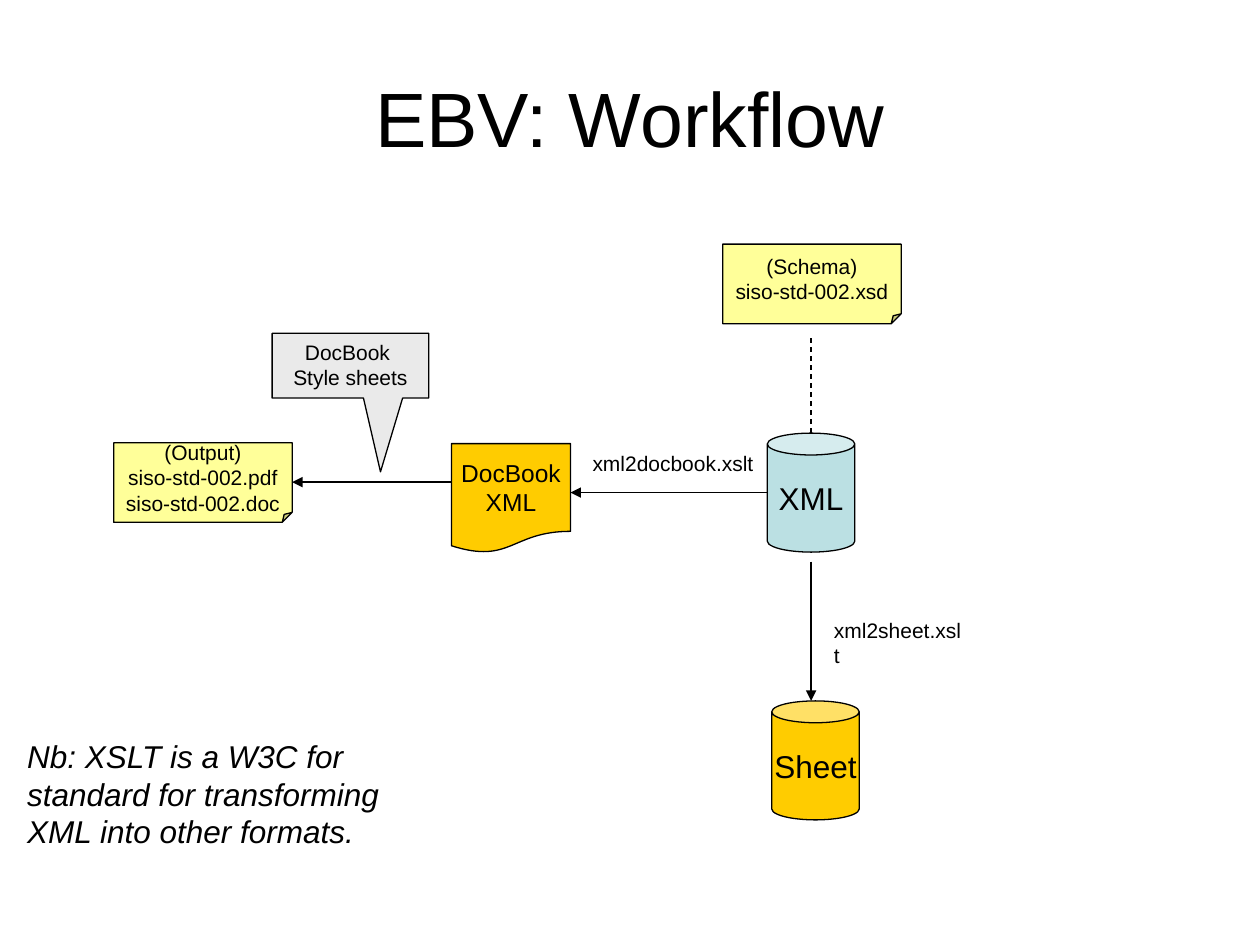
from lxml.etree import SubElement
from pptx import Presentation
from pptx.dml.color import RGBColor
from pptx.enum.dml import MSO_LINE
from pptx.enum.shapes import MSO_CONNECTOR, MSO_SHAPE as Kind
from pptx.enum.text import MSO_ANCHOR as Anchor, PP_ALIGN as Align
from pptx.oxml.ns import qn
from pptx.util import Pt

# Content: places and sizes in points
TITLE = "EBV: Workflow"
BLACK, GOLD, BLUE, YELLOW, GREY = "000000", "FFCC00", "BBE0E3", "FFFF99", "EAEAEA"
CAN, NOTE = (50, 68), (102, 45.5)

# kind, (left, top), (width, height), fill, font size, lines of text
NODES = [
    (Kind.CAN, (438.5, 247.5), CAN, BLUE, 18, ["XML"]),
    (Kind.CAN, (441, 400.5), CAN, GOLD, 18, ["Sheet"]),
    (Kind.FLOWCHART_DOCUMENT, (258, 253.5), (68, 62.5), GOLD, 14, ["DocBook", "XML"]),
    (Kind.FOLDED_CORNER, (413, 139.5), NOTE, YELLOW, 12,
     ["(Schema)", "siso-std-002.xsd"]),
    (Kind.FOLDED_CORNER, (65, 253), NOTE, YELLOW, 12,
     ["(Output)", "siso-std-002.pdf", "siso-std-002.doc"]),
    (Kind.RECTANGULAR_CALLOUT, (155.5, 190.5), (89.5, 37), GREY, 12,
     ["DocBook ", "Style sheets"]),
]
# Shape guides, in thousandths of a percent
GUIDES = {
    Kind.CAN: {"adj": 25000},
    Kind.FOLDED_CORNER: {"adj": 12500},
    Kind.RECTANGULAR_CALLOUT: {"adj1": 19200, "adj2": 164000},
}
# start, end, has arrowhead
LINKS = [
    ((463.5, 321), (463.5, 400.5), True),
    ((439, 281.5), (326, 281.5), True),
    ((258, 275.5), (167, 275.5), True),
    ((463.5, 247.5), (463.5, 191), False),
]
# text, (left, top), (width, height), size, italic, wrap, space before
LABELS = [
    ("xml2docbook.xslt", (331.5, 254), (107, 22), 12, False, False, 0),
    ("xml2sheet.xslt", (469.5, 349.5), (89, 22), 12, False, False, 0),
    ("Nb: XSLT is a W3C for standard for transforming XML into other formats.",
     (8.5, 417.5), (227, 72), 18, True, True, 11.2),
]


def color(value):
    return RGBColor.from_string(value)


def points(*values):
    return [Pt(value) for value in values]


def write(shape, lines, size, align, anchor, wrap, italic=False, before=0):
    frame = shape.text_frame
    frame.text = "\n".join(lines)
    frame.word_wrap = wrap
    frame.vertical_anchor = anchor
    for paragraph in frame.paragraphs:
        paragraph.alignment = align
        paragraph.space_before = Pt(before)
        font = paragraph.font
        font.name, font.size, font.italic = "Arial", Pt(size), italic
        font.color.rgb = color(BLACK)


def outline(line):
    line.color.rgb = color(BLACK)
    line.width = Pt(0.75)


def set_guides(shape, guides):
    geometry = shape._element.spPr.find(qn("a:prstGeom"))
    for old in geometry.findall(qn("a:avLst")):
        geometry.remove(old)
    values = SubElement(geometry, qn("a:avLst"))
    for name, value in guides.items():
        SubElement(values, qn("a:gd"), name=name, fmla=f"val {value}")


def add_node(slide, kind, place, size, fill, font_size, lines):
    shape = slide.shapes.add_shape(kind, *points(*place, *size))
    shape.shadow.inherit = False
    set_guides(shape, GUIDES.get(kind, {}))
    shape.fill.solid()
    shape.fill.fore_color.rgb = color(fill)
    outline(shape.line)
    callout = kind == Kind.RECTANGULAR_CALLOUT
    anchor = Anchor.TOP if callout else Anchor.MIDDLE
    write(shape, lines, font_size, Align.CENTER, anchor, callout)


def add_link(slide, start, end, arrow):
    link = slide.shapes.add_connector(MSO_CONNECTOR.STRAIGHT, *points(*start, *end))
    outline(link.line)
    properties = link._element.spPr
    if arrow:
        SubElement(properties.find(qn("a:ln")), qn("a:tailEnd"), type="triangle")
    else:
        link.line.dash_style = MSO_LINE.DASH
    SubElement(properties, qn("a:effectLst"))


def main():
    presentation = Presentation()
    presentation.slide_width, presentation.slide_height = points(720, 540)
    slide = presentation.slides.add_slide(presentation.slide_layouts[5])

    # Title
    title = slide.shapes.title
    title.left, title.top, title.width, title.height = points(36, 21.5, 648, 90)
    write(title, [TITLE], 44, Align.CENTER, Anchor.MIDDLE, True)

    # Workflow nodes and the links between them
    for node in NODES:
        add_node(slide, *node)
    for link in LINKS:
        add_link(slide, *link)

    # Labels and remark
    for text, place, size, font_size, italic, wrap, before in LABELS:
        box = slide.shapes.add_textbox(*points(*place, *size))
        write(box, [text], font_size, Align.LEFT, Anchor.TOP, wrap, italic, before)

    presentation.save("out.pptx")


if __name__ == "__main__":
    main()
